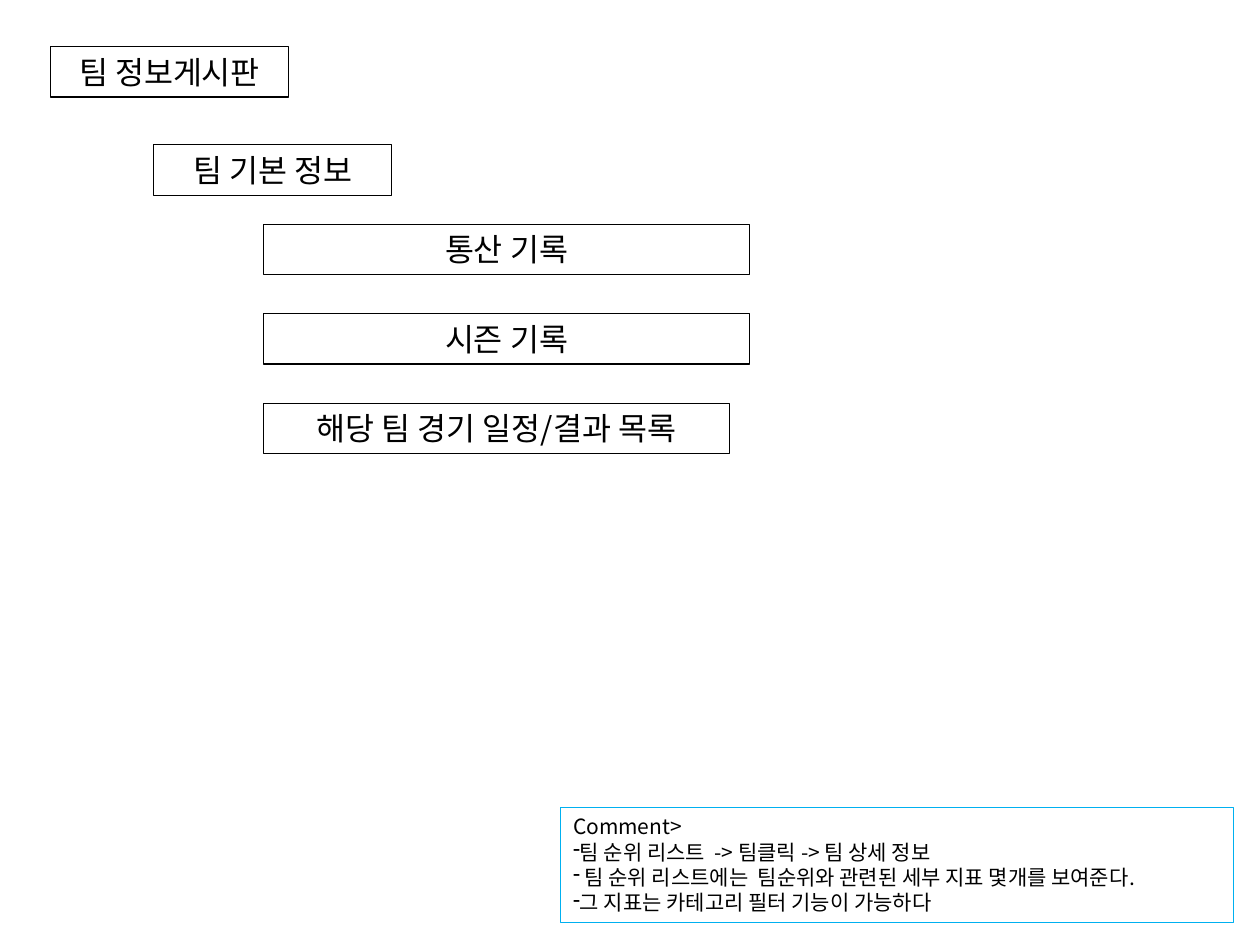
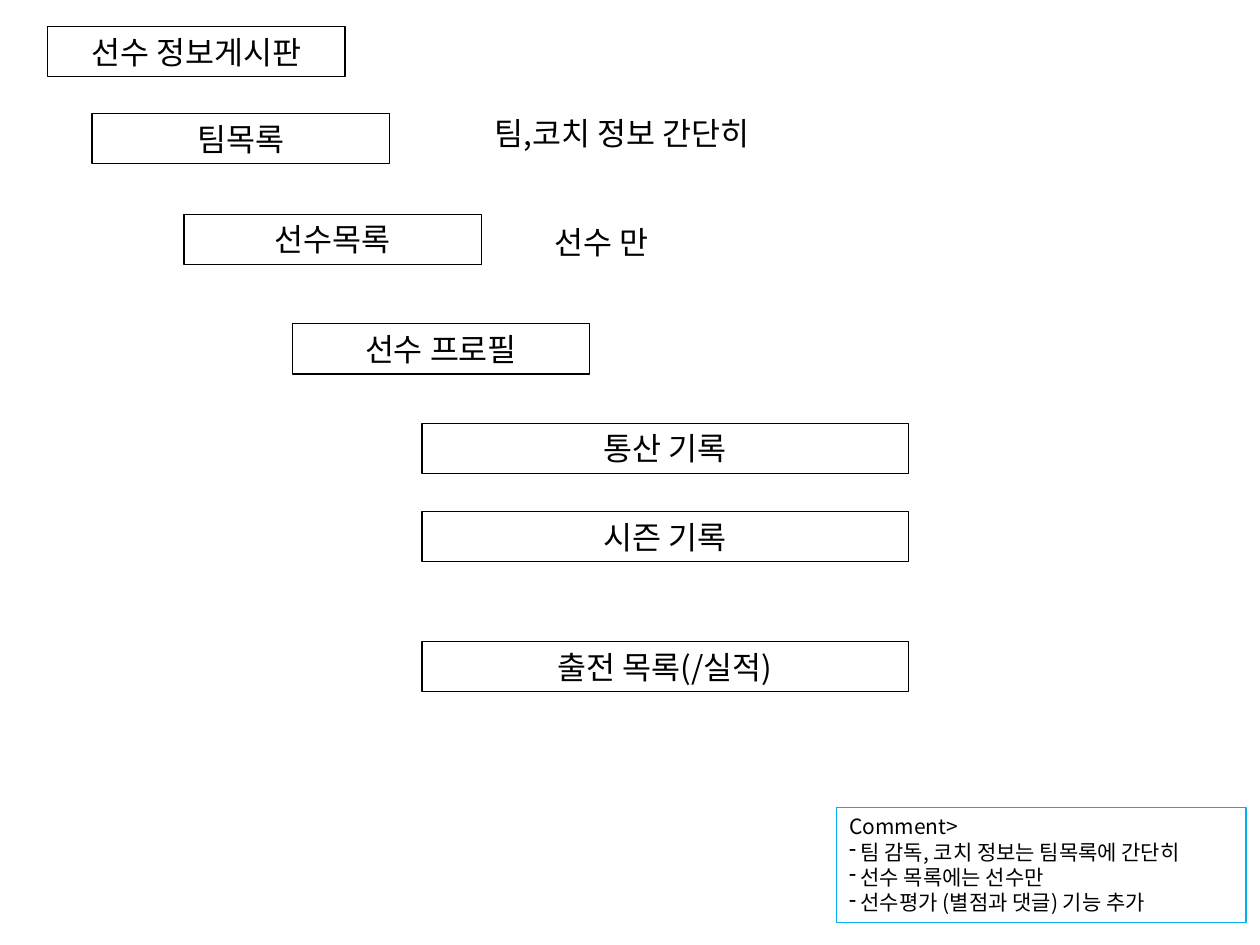
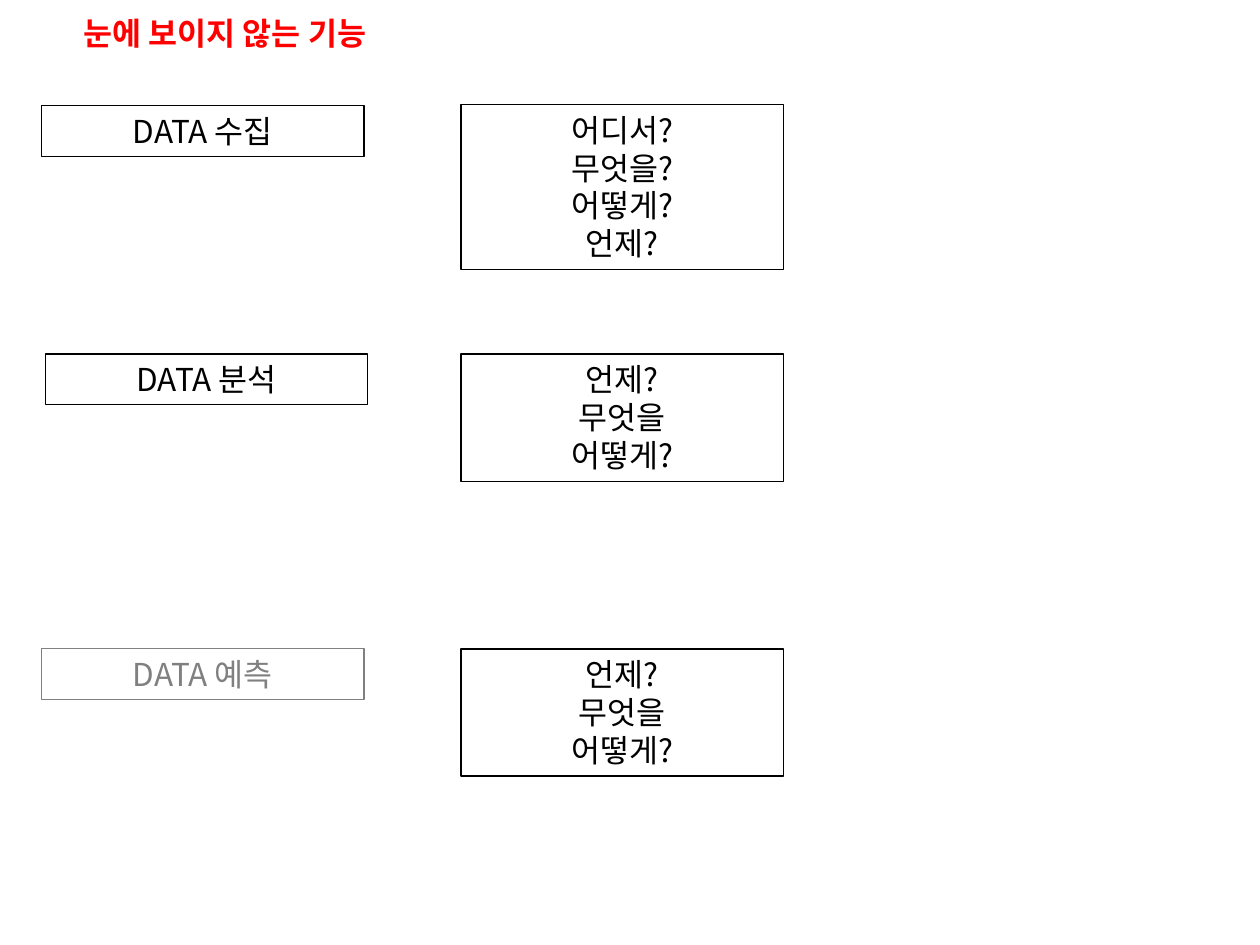
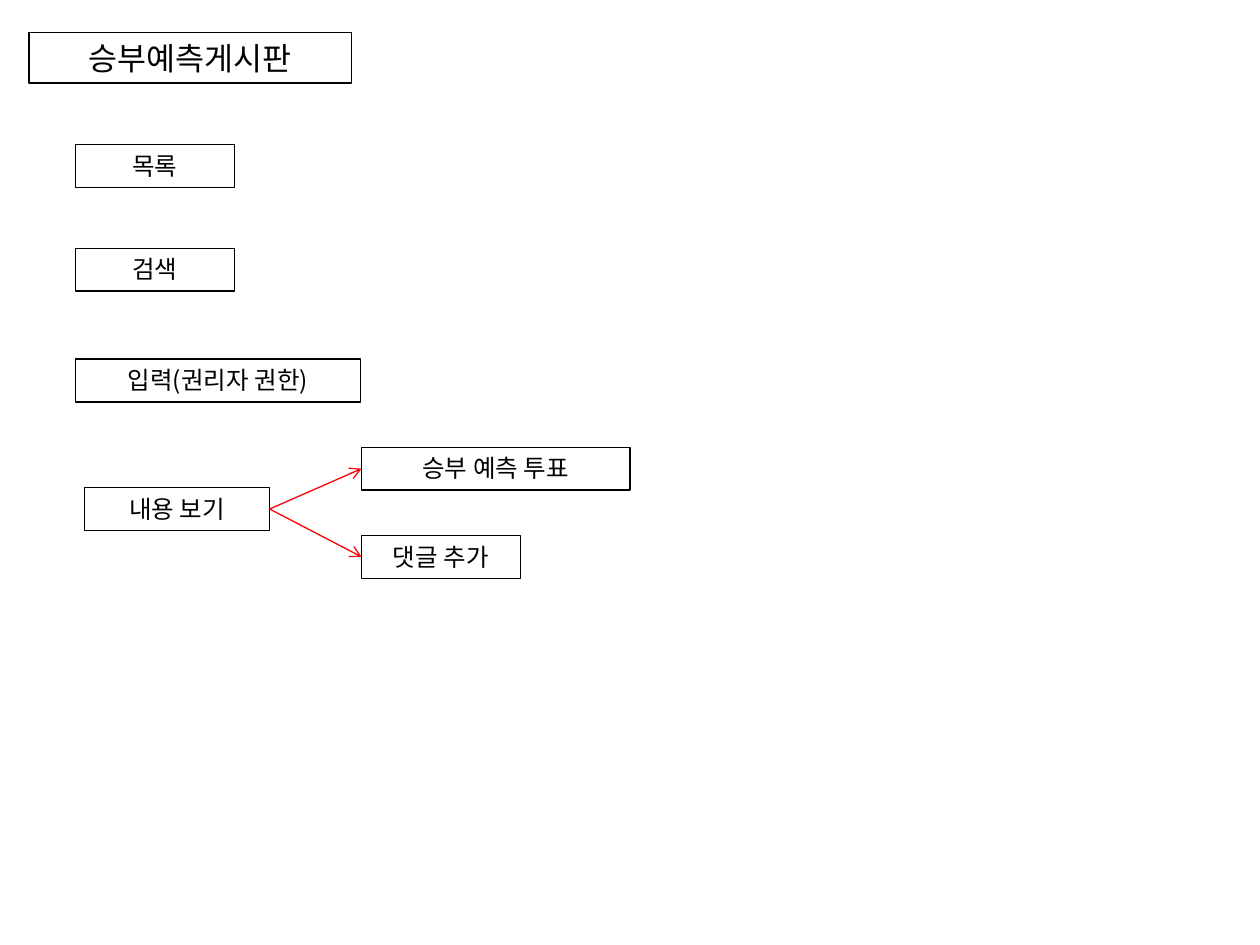
from dataclasses import dataclass
from typing import Optional

from lxml import etree
from pptx import Presentation
from pptx.dml.color import RGBColor
from pptx.enum.shapes import MSO_CONNECTOR, MSO_SHAPE
from pptx.enum.text import MSO_ANCHOR, MSO_AUTO_SIZE, PP_ALIGN
from pptx.oxml.ns import qn
from pptx.shapes.autoshape import Shape
from pptx.slide import Slide
from pptx.util import Inches, Pt


@dataclass(frozen=True)
class Theme:
    font: str = "Noto Sans CJK KR"
    black: str = "000000"
    grey: str = "808080"
    red: str = "FF0000"
    blue: str = "00B0F0"
    heading: int = 18
    item: int = 14
    comment: int = 12
    line: float = 0.75


THEME = Theme()
TOP, LEFT, RIGHT = 0, 1, 3  # connection sites of a rectangle


@dataclass(frozen=True)
class Label:
    """Lines of text in a frame; outline None leaves the frame undrawn."""
    left: float
    top: float
    width: float
    lines: tuple[str, ...]
    size: int = THEME.heading
    color: str = THEME.black
    outline: Optional[str] = THEME.black
    align: Optional[PP_ALIGN] = PP_ALIGN.CENTER
    wrap: bool = True
    bold: Optional[bool] = None
    dashed: bool = False

    @property
    def height(self) -> float:
        """Frame height that fits the lines and the inner margins."""
        return round(0.1 + 0.0168 * self.size * len(self.lines), 2)


def note(left: float, top: float, width: float, text: str) -> Label:
    return Label(left, top, width, (text,), outline=None, align=None, wrap=False)


def comment(left: float, width: float, *remarks: str) -> Label:
    return Label(left, 6.41, width, ("Comment>", *remarks), size=THEME.comment,
                 outline=THEME.blue, align=None, wrap=False, dashed=True)


def item(left: float, top: float, width: float, text: str) -> Label:
    return Label(left, top, width, (text,), size=THEME.item)


def add_label(slide: Slide, label: Label) -> Shape:
    place = [Inches(v) for v in (label.left, label.top, label.width, label.height)]
    if label.outline:
        frame = slide.shapes.add_shape(MSO_SHAPE.RECTANGLE, *place)
        frame.shadow.inherit = False
        frame.fill.background()
        frame.line.color.rgb = RGBColor.from_string(label.outline)
        frame.line.width = Pt(THEME.line)
    else:
        frame = slide.shapes.add_textbox(*place)

    text_frame = frame.text_frame
    frame_format = {"word_wrap": label.wrap, "vertical_anchor": MSO_ANCHOR.TOP,
                    "auto_size": MSO_AUTO_SIZE.SHAPE_TO_FIT_TEXT}
    for name, value in frame_format.items():
        setattr(text_frame, name, value)

    font_format = {"name": THEME.font, "size": Pt(label.size), "bold": label.bold}
    for index, line in enumerate(label.lines):
        paragraph = text_frame.paragraphs[0] if index == 0 else text_frame.add_paragraph()
        paragraph.alignment = label.align or PP_ALIGN.LEFT
        if label.dashed and index:
            etree.SubElement(paragraph._p.get_or_add_pPr(), qn("a:buChar"), char="-")
        run = paragraph.add_run()
        run.text = line
        for name, value in font_format.items():
            setattr(run.font, name, value)
        run.font.color.rgb = RGBColor.from_string(label.color)
        etree.SubElement(run._r.get_or_add_rPr(), qn("a:ea"), typeface=THEME.font)
    return frame


def add_arrow(slide: Slide, source: Shape, target: Shape) -> None:
    arrow = slide.shapes.add_connector(MSO_CONNECTOR.STRAIGHT, 0, 0, 0, 0)
    arrow.begin_connect(source, RIGHT)
    arrow.end_connect(target, LEFT)
    arrow.line.color.rgb = RGBColor.from_string(THEME.red)
    arrow.line.width = Pt(THEME.line)
    etree.SubElement(arrow.line._get_or_add_ln(), qn("a:tailEnd"), type="arrow")
    etree.SubElement(arrow._element.spPr, qn("a:effectLst"))


TEAM_RECORDS = (("통산 기록", 3.86), ("시즌 기록", 3.86),
                ("해당 팀 경기 일정/결과 목록", 3.7))
TEAM_BOARD = [
    Label(0.4, 0.37, 1.89, ("팀 정보게시판",)),
    Label(1.22, 1.15, 1.89, ("팀 기본 정보",)),
    *(Label(2.09, 1.78 + 0.71 * row, width, (text,))
      for row, (text, width) in enumerate(TEAM_RECORDS)),
    comment(4.45, 5.34, "팀 순위 리스트  -> 팀클릭 -> 팀 상세 정보",
            " 팀 순위 리스트에는  팀순위와 관련된 세부 지표 몇개를 보여준다.",
            "그 지표는 카테고리 필터 기능이 가능하다"),
]

PLAYER_LEVELS = ((0.38, 0.21, "선수 정보게시판"), (0.73, 0.9, "팀목록"),
                 (1.46, 1.7, "선수목록"), (2.32, 2.57, "선수 프로필"))
PLAYER_RECORDS = ((3.36, "통산 기록"), (4.06, "시즌 기록"), (5.09, "출전 목록(/실적)"))
PLAYER_BOARD = [
    *(Label(left, top, 2.36, (text,)) for left, top, text in PLAYER_LEVELS),
    *(Label(3.35, top, 3.86, (text,)) for top, text in PLAYER_RECORDS),
    note(4.3, 1.72, 1.14, "선수 만"),
    note(3.83, 0.86, 2.46, "팀,코치 정보 간단히"),
    comment(6.64, 3.25, " 팀 감독, 코치 정보는 팀목록에 간단히",
            " 선수 목록에는 선수만", " 선수평가 (별점과 댓글) 기능 추가"),
]

DATA_WIDTH = 2.56
ANALYSIS_QUESTIONS = ("언제?", "무엇을", "어떻게?")
DATA_STEPS = ((0.33, 0.84, "DATA 수집", THEME.black),
              (0.36, 2.81, "DATA 분석", THEME.black),
              (0.33, 5.15, "DATA 예측", THEME.grey))
DATA_QUESTIONS = ((0.83, ("어디서?", "무엇을?", "어떻게?", "언제?")),
                  (2.81, ANALYSIS_QUESTIONS), (5.15, ANALYSIS_QUESTIONS))
HIDDEN_FEATURES = [
    Label(0.17, 0.06, 3.23, ("눈에 보이지 않는 기능",), color=THEME.red,
          outline=None, bold=True),
    *(Label(left, top, DATA_WIDTH, (text,), color=color, outline=color)
      for left, top, text, color in DATA_STEPS),
    *(Label(3.66, top, DATA_WIDTH, questions) for top, questions in DATA_QUESTIONS),
]

PREDICTION_BOARD = [
    Label(0.23, 0.26, 2.56, ("승부예측게시판",)),
    item(0.6, 1.15, 1.26, "목록"),
    item(0.6, 1.97, 1.26, "검색"),
    item(0.6, 2.85, 2.26, "입력(권리자 권한)"),
]
VIEW_CONTENT = item(0.67, 3.87, 1.47, "내용 보기")
VIEW_ACTIONS = (item(2.87, 3.55, 2.13, "승부 예측 투표"),
                item(2.87, 4.25, 1.26, "댓글 추가"))


def main() -> None:
    deck = Presentation()
    deck.slide_width, deck.slide_height = Inches(10), Inches(7.5)
    blank = deck.slide_layouts[6]
    for board in (TEAM_BOARD, PLAYER_BOARD, HIDDEN_FEATURES, PREDICTION_BOARD):
        slide = deck.slides.add_slide(blank)
        for label in board:
            add_label(slide, label)

    prediction = deck.slides[3]
    view = add_label(prediction, VIEW_CONTENT)
    actions = [add_label(prediction, action) for action in VIEW_ACTIONS]
    for action in actions:
        add_arrow(prediction, view, action)
    deck.save("out.pptx")


if __name__ == "__main__":
    main()
